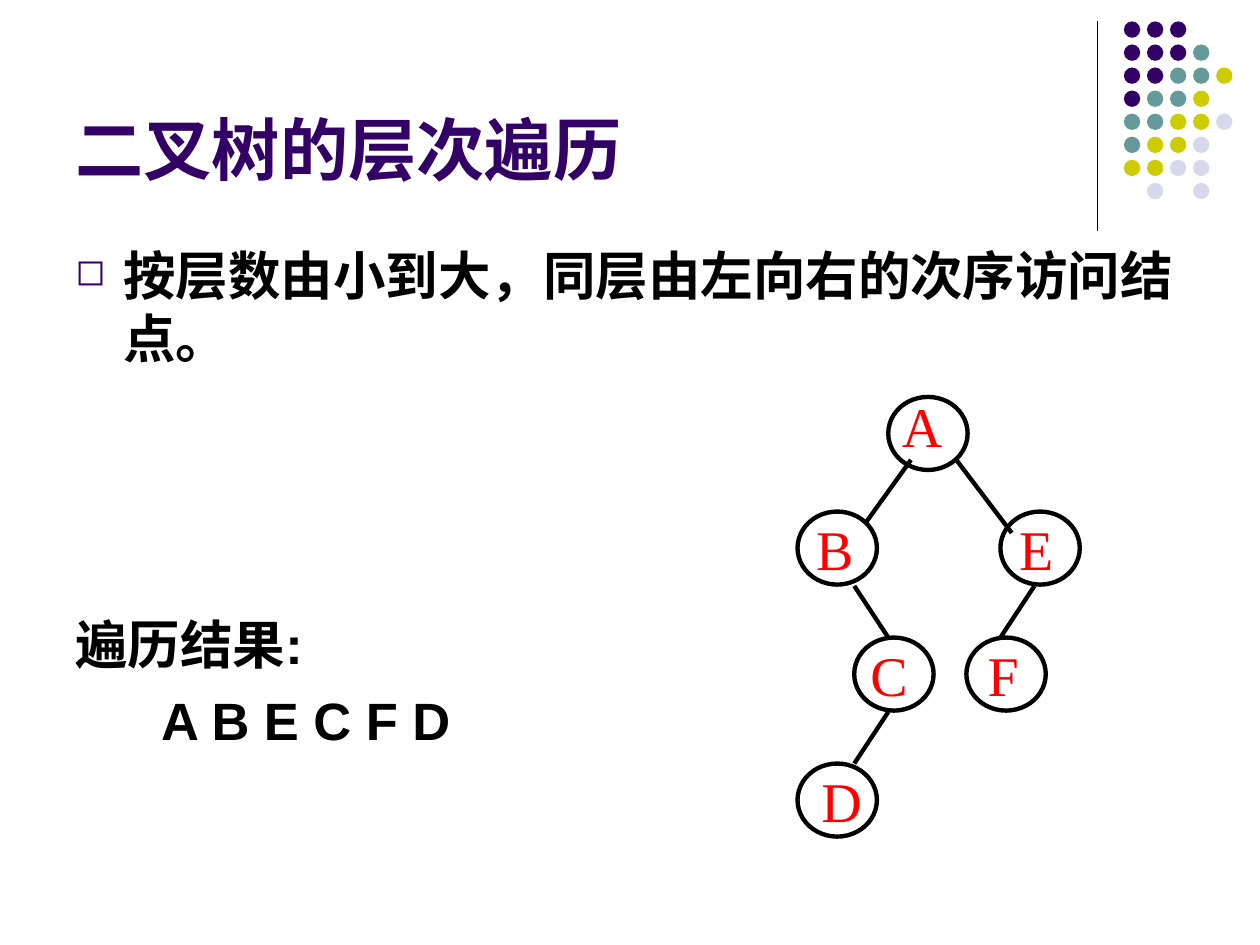
"""Build a slide on the level-order traversal of a binary tree."""
from lxml import etree
from pptx import Presentation
from pptx import util as u
from pptx.dml import color
from pptx.enum import shapes, text
from pptx.oxml import ns

TITLE = "二叉树的层次遍历"
RULE = "按层数由小到大，同层由左向右的次序访问结点。"
RESULT = ["遍历结果:", "A B E C F D"]
INK, RED, DARK = "000000", "FF0000", "330066"
TINTS = {"p": DARK, "t": "669999", "y": "CCCC00", "g": "D8D8EC"}
DOTS = ["ppp", "pppt", "pptty", "ptty", "ttyyg", "tyyg", "yygg", " g g"]
DOT, STEP = 0.13, 0.183
NODES = [
    ("A", 7.05, 3.15, 7.06, 3.06, 1.0),
    ("B", 6.33, 4.06, 6.38, 3.98, 1.1),
    ("D", 6.33, 6.06, 6.42, 5.98, 1.1),
    ("F", 7.67, 5.06, 7.74, 4.98, 1.1),
    ("C", 6.78, 5.06, 6.81, 4.98, 1.1),
    ("E", 7.94, 4.06, 7.99, 3.98, 1.1),
]
EDGES = [
    (7.23, 3.65, 6.87, 4.15),
    (8.21, 4.65, 7.94, 5.06),
    (7.59, 3.65, 8.03, 4.23),
    (6.78, 4.65, 7.05, 5.06),
    (7.05, 5.65, 6.78, 6.06),
]


def rgb(code):
    return color.RGBColor.from_string(code)


def oval(slide, x, y, w, h, fill=None):
    dot = slide.shapes.add_shape(
        shapes.MSO_SHAPE.OVAL, *map(u.Inches, (x, y, w, h)))
    dot.shadow.inherit = False
    if fill:
        dot.fill.solid()
        dot.fill.fore_color.rgb = rgb(fill)
        dot.line.fill.background()
    else:
        dot.fill.background()
        dot.line.color.rgb = rgb(INK)
        dot.line.width = u.Pt(2.5)


def line(slide, ends, width):
    bar = slide.shapes.add_connector(
        shapes.MSO_CONNECTOR.STRAIGHT, *map(u.Inches, ends))
    bar.line.color.rgb = rgb(INK)
    bar.line.width = u.Pt(width)
    etree.SubElement(bar.element.spPr, ns.qn("a:effectLst"))


def write(slide, box, lines, size, tint, face="Arial", bold=True, wrap=True):
    frame = slide.shapes.add_textbox(*map(u.Inches, box)).text_frame
    frame.word_wrap = wrap
    frame.text = "\n".join(lines)
    for para in frame.paragraphs:
        font = para.font
        font.name, font.size, font.bold = face, u.Pt(size), bold
        font.color.rgb = rgb(tint)
    return frame


def indent(para, left, first=0):
    props = para._p.get_or_add_pPr()
    props.set("marL", str(u.Inches(left)))
    props.set("indent", str(u.Inches(first)))
    return props


def bullet(para, sign, tint, size):
    props = indent(para, 0.38, -0.38)
    last = props.find(ns.qn("a:defRPr"))
    hue = etree.Element(ns.qn("a:buClr"))
    etree.SubElement(hue, ns.qn("a:srgbClr"), val=tint)
    scale = etree.Element(ns.qn("a:buSzPct"), val=str(size * 1000))
    mark = etree.Element(ns.qn("a:buChar"), char=sign)
    for item in (hue, scale, mark):
        last.addprevious(item)


def main():
    deck = Presentation()
    deck.slide_width, deck.slide_height = u.Inches(10), u.Inches(7.5)
    slide = deck.slides.add_slide(deck.slide_layouts[6])

    line(slide, (8.71, 0.17, 8.71, 1.83), 0.75)
    for row, marks in enumerate(DOTS):
        for col, mark in enumerate(marks):
            if mark in TINTS:
                oval(slide, 8.92 + col * STEP, 0.17 + row * STEP,
                     DOT, DOT, TINTS[mark])

    head = write(slide, (0.5, 0.13, 8.25, 1.42), [TITLE], 39, DARK)
    head.vertical_anchor = text.MSO_ANCHOR.BOTTOM
    body = write(slide, (0.5, 1.88, 9, 1.2), [RULE], 30, INK)
    bullet(body.paragraphs[0], "◻", DARK, 70)
    result = write(slide, (0.5, 4.81, 5, 1.3), RESULT, 30, INK).paragraphs[1]
    result.space_before = u.Pt(7.5)
    indent(result, 0.68)

    for name, x, y, left, top, gap in NODES:
        oval(slide, x, y, 0.63, 0.58)
        label = write(slide, (left, top, 0.63, 0.69), [name], 32, RED,
                      "Times New Roman", False, False)
        label.paragraphs[0].line_spacing = gap
    for ends in EDGES:
        line(slide, ends, 2.5)
    deck.save("out.pptx")


if __name__ == "__main__":
    main()
